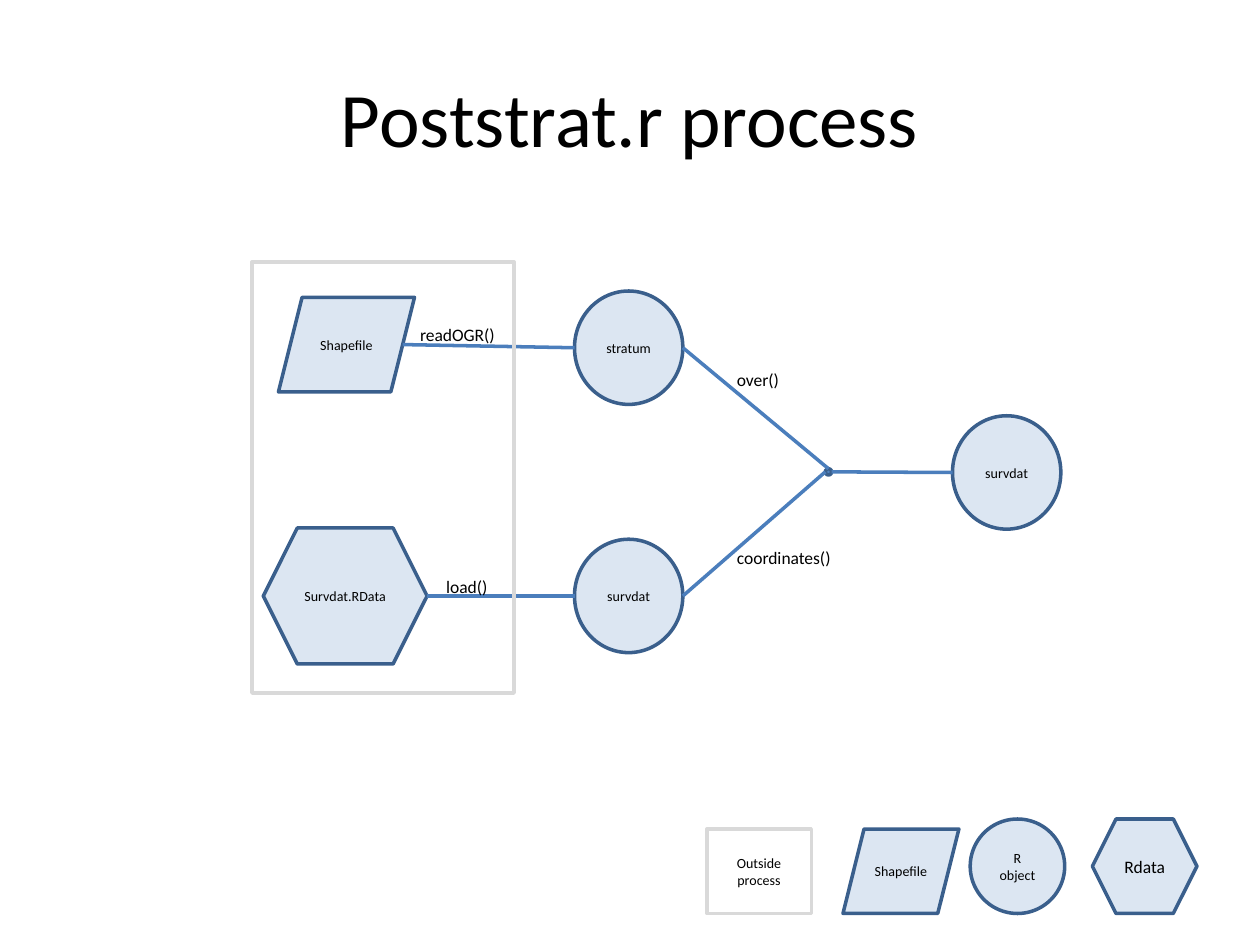
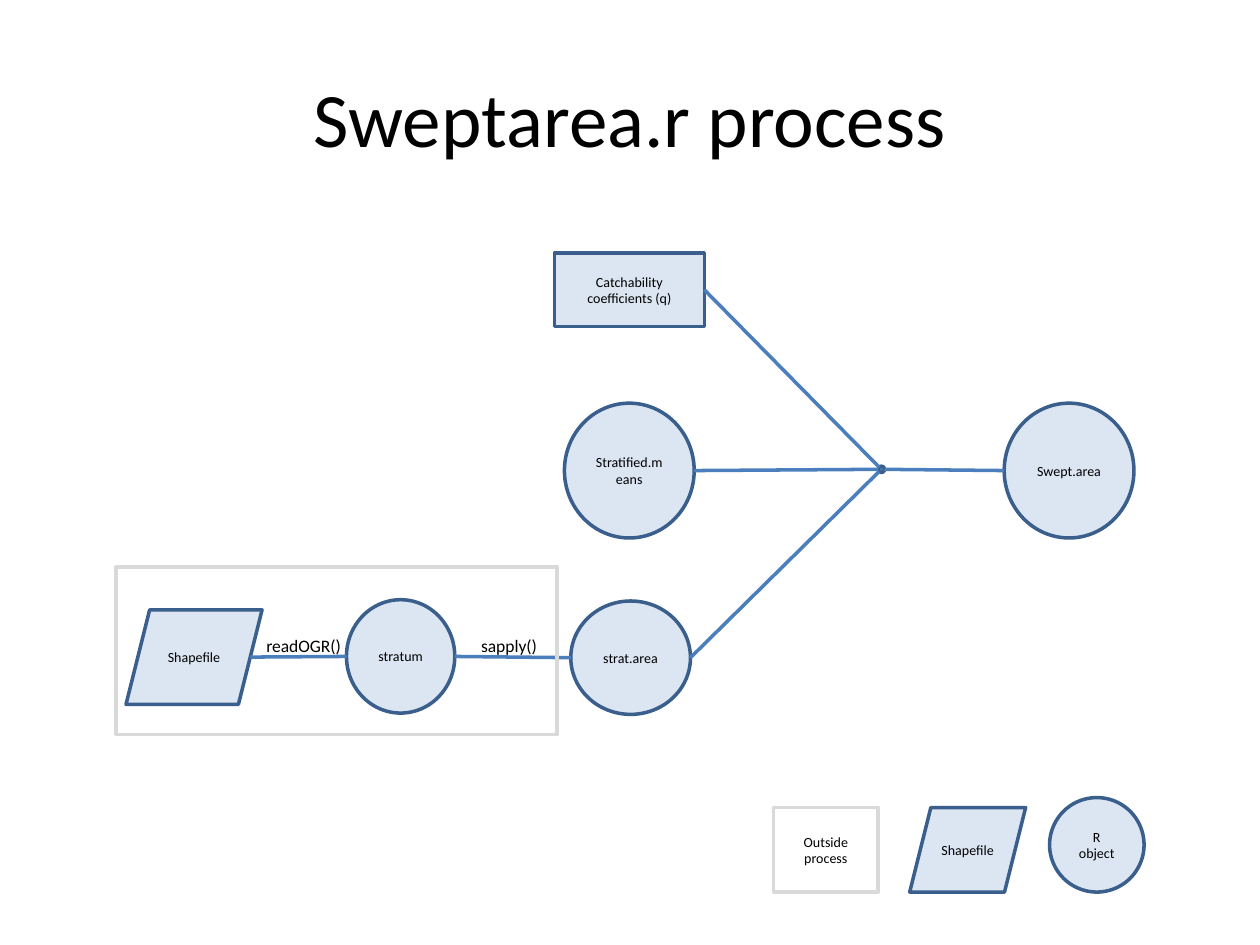
from lxml import etree
from pptx import Presentation
from pptx import util as u
from pptx.dml.color import RGBColor
from pptx.enum import shapes, text
from pptx.oxml import ns

FONT = "Calibri"
BLACK = RGBColor(0x00, 0x00, 0x00)
PALE_BLUE = RGBColor(0xDC, 0xE6, 0xF2)
DARK_BLUE = RGBColor(0x3A, 0x5F, 0x8C)
LINK_BLUE = RGBColor(0x4B, 0x7E, 0xBC)
DOT_BLUE = RGBColor(0x4F, 0x81, 0xBD)
GREY = RGBColor(0xD9, 0xD9, 0xD9)

KIND = shapes.MSO_SHAPE
ALIGN = text.PP_ALIGN
LINE_WIDTH = u.Pt(2)
CIRCLE = (0.86, 0.9)
BIG_CIRCLE = (1.03, 1.07)
SHAPEFILE = (1.08, 0.75)
DOT = (0.05, 0.05)

# Points of a shape's box, as fractions of its width and height
LEFT, RIGHT, TOP = (0, 0.5), (1, 0.5), (0.5, 0)
TOP_LEFT, BOTTOM_LEFT = (0.15, 0.15), (0.15, 0.85)


def write(shape, words, size, align=ALIGN.CENTER):
    frame = shape.text_frame
    frame.word_wrap = True
    frame.text = words
    para = frame.paragraphs[0]
    para.alignment = align
    para.font.name = FONT
    para.font.size = u.Pt(size)
    para.font.color.rgb = BLACK
    return frame


def add_node(page, kind, place, extent, words="", fill=PALE_BLUE,
             outline=DARK_BLUE, size=8):
    """Outlined preset shape; no fill when fill is None."""
    node = page.shapes.add_shape(kind, *map(u.Inches, place + extent))
    node.shadow.inherit = False
    if fill is None:
        node.fill.background()
    else:
        node.fill.solid()
        node.fill.fore_color.rgb = fill
    node.line.color.rgb = outline
    node.line.width = LINE_WIDTH
    if words:
        write(node, words, size).vertical_anchor = text.MSO_ANCHOR.MIDDLE
    return node


def add_outside(page, place, extent, words=""):
    """Grey frame around what happens outside the process."""
    add_node(page, KIND.RECTANGLE, place, extent, words, None, GREY)


def add_dot(page, place):
    return add_node(page, KIND.OVAL, place, DOT, fill=DOT_BLUE)


def point(node, spot):
    return (int(node.left + node.width * spot[0]),
            int(node.top + node.height * spot[1]))


def slanted_right(node):
    """Middle of a parallelogram's slanted right side."""
    x, y = point(node, RIGHT)
    return x - node.height // 8, y


def add_link(page, start, end):
    link = page.shapes.add_connector(shapes.MSO_CONNECTOR.STRAIGHT, *start, *end)
    link.line.color.rgb = LINK_BLUE
    link.line.width = LINE_WIDTH
    properties = link._element.find(ns.qn("p:spPr"))
    etree.SubElement(properties, ns.qn("a:effectLst"))


def add_label(page, words, x, y, width, align=ALIGN.CENTER):
    box = page.shapes.add_textbox(*map(u.Inches, (x, y, width, 0.27)))
    write(box, words, 10, align).auto_size = text.MSO_AUTO_SIZE.SHAPE_TO_FIT_TEXT


def add_page(deck, title):
    page = deck.slides.add_slide(deck.slide_layouts[6])
    box = page.shapes.add_textbox(*map(u.Inches, (0.5, 0.3, 9, 1.25)))
    write(box, title, 44).vertical_anchor = text.MSO_ANCHOR.MIDDLE
    return page


def add_legend(page, left, bottom, circle_left):
    low, high = bottom - 0.67, bottom - 0.75
    add_outside(page, (left, low), (0.83, 0.67), "Outside process")
    add_node(page, KIND.PARALLELOGRAM, (left + 1.08, low), (0.92, 0.67), "Shapefile")
    add_node(page, KIND.OVAL, (circle_left, high), (0.75, 0.75), "R object")


def poststrat_page(deck):
    page = add_page(deck, "Poststrat.r process")

    # Inputs, objects and result
    shapefile = add_node(page, KIND.PARALLELOGRAM, (2.21, 2.36), SHAPEFILE, "Shapefile")
    rdata = add_node(page, KIND.HEXAGON, (2.09, 4.19), (1.3, 1.08), "Survdat.RData")
    stratum = add_node(page, KIND.OVAL, (4.56, 2.31), CIRCLE, "stratum")
    survdat = add_node(page, KIND.OVAL, (4.56, 4.28), CIRCLE, "survdat")
    result = add_node(page, KIND.OVAL, (7.56, 3.3), CIRCLE, "survdat")
    dot = add_dot(page, (6.55, 3.72))

    # Flow
    add_link(page, slanted_right(shapefile), point(stratum, LEFT))
    add_link(page, point(rdata, RIGHT), point(survdat, LEFT))
    add_link(page, point(stratum, RIGHT), point(dot, TOP))
    add_link(page, point(survdat, RIGHT), point(dot, LEFT))
    add_link(page, point(dot, RIGHT), point(result, LEFT))

    # Function names
    add_label(page, "readOGR()", 3.17, 2.52, 0.92)
    add_label(page, "load()", 3.33, 4.52, 0.75)
    add_label(page, "over()", 5.75, 2.88, 0.58, ALIGN.LEFT)
    add_label(page, "coordinates()", 5.75, 4.29, 1.08, ALIGN.LEFT)

    add_outside(page, (2, 2.08), (2.08, 3.42))
    add_legend(page, 5.61, 7.25, 7.7)
    add_node(page, KIND.HEXAGON, (8.67, 6.5), (0.83, 0.75), "Rdata", size=10)


def sweptarea_page(deck):
    page = add_page(deck, "Sweptarea.r process")

    # Inputs, objects and result
    shapefile = add_node(page, KIND.PARALLELOGRAM, (1, 4.84), SHAPEFILE, "Shapefile")
    stratum = add_node(page, KIND.OVAL, (2.75, 4.76), CIRCLE, "stratum")
    area = add_node(page, KIND.OVAL, (4.53, 4.77), (0.95, 0.9), "strat.area")
    means = add_node(page, KIND.OVAL, (4.48, 3.2), BIG_CIRCLE, "Stratified.means")
    catchability = add_node(page, KIND.RECTANGLE, (4.4, 2.01), (1.19, 0.58),
                            "Catchability coefficients (q)")
    result = add_node(page, KIND.OVAL, (7.97, 3.2), BIG_CIRCLE, "Swept.area")
    dot = add_dot(page, (6.97, 3.7))

    # Flow
    add_link(page, slanted_right(shapefile), point(stratum, LEFT))
    add_link(page, point(stratum, RIGHT), point(area, LEFT))
    for source, spot in ((catchability, TOP_LEFT), (means, LEFT), (area, BOTTOM_LEFT)):
        add_link(page, point(source, RIGHT), point(dot, spot))
    add_link(page, point(dot, RIGHT), point(result, LEFT))

    # Function names
    add_label(page, "readOGR()", 1.95, 4.99, 0.92)
    add_label(page, "sapply()", 3.58, 4.99, 0.92)

    add_outside(page, (0.92, 4.5), (3.5, 1.33))
    add_legend(page, 6.14, 7.08, 8.33)


def main():
    deck = Presentation()
    deck.slide_width = u.Inches(10)
    deck.slide_height = u.Inches(7.5)
    poststrat_page(deck)
    sweptarea_page(deck)
    deck.save("out.pptx")


if __name__ == "__main__":
    main()
